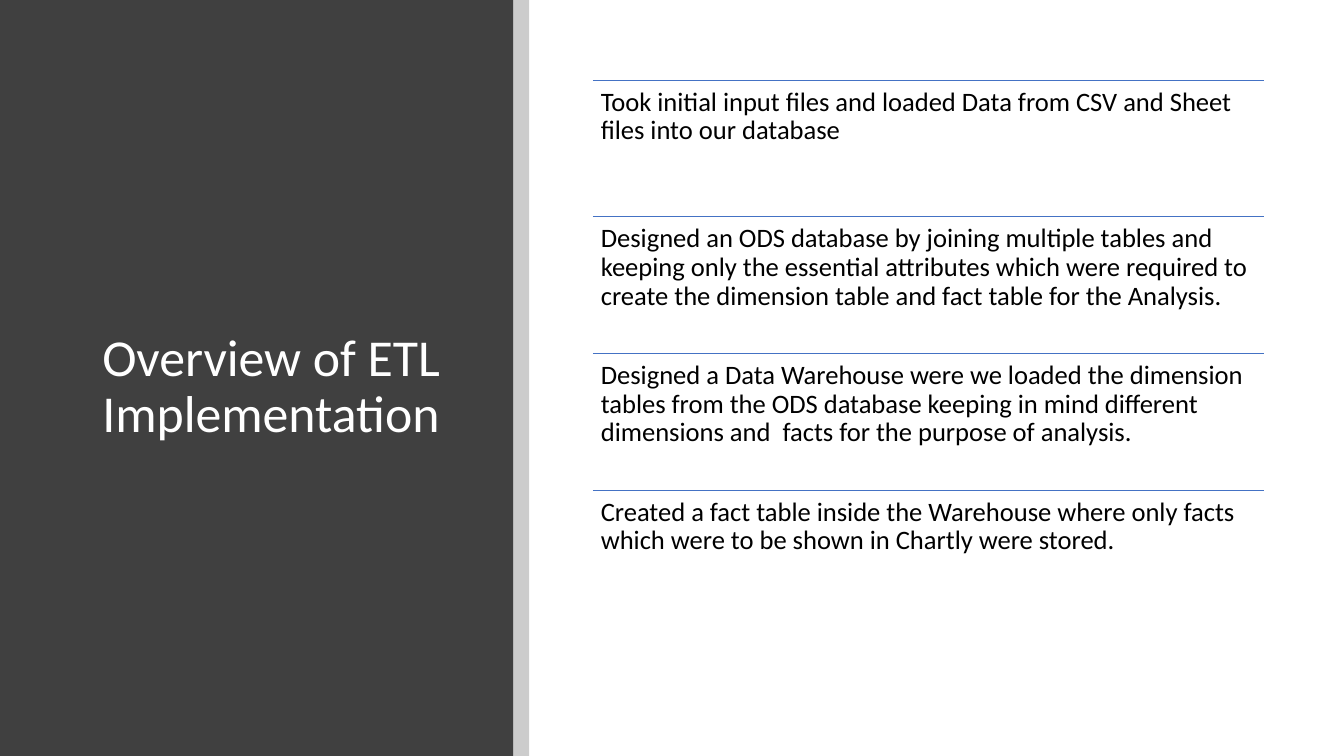
"""Build the ETL implementation overview slide."""
from dataclasses import dataclass

from lxml import etree
from pptx import Presentation
from pptx.dml.color import RGBColor
from pptx.enum.shapes import MSO_CONNECTOR, MSO_SHAPE
from pptx.enum.text import MSO_ANCHOR
from pptx.oxml.ns import qn
from pptx.util import Pt

RECTANGLE = MSO_SHAPE.RECTANGLE
STRAIGHT = MSO_CONNECTOR.STRAIGHT
TOP = MSO_ANCHOR.TOP
MIDDLE = MSO_ANCHOR.MIDDLE

SLIDE_WIDTH, SLIDE_HEIGHT = 960, 540
PANEL_WIDTH, STRIPE_WIDTH = 366.5, 11.5
STEP_LEFT, STEP_TOP, STEP_WIDTH, STEP_HEIGHT = 423.5, 57.3, 479.5, 97.6

STEPS = (
    "Took initial input files and loaded Data from CSV and Sheet files into our database",
    "Designed an ODS database by joining multiple tables and keeping only the essential "
    "attributes which were required to create the dimension table and fact table for the Analysis.",
    "Designed a Data Warehouse were we loaded the dimension tables from the ODS database "
    "keeping in mind different dimensions and  facts for the purpose of analysis.",
    "Created a fact table inside the Warehouse where only facts which were to be shown in "
    "Chartly were stored.",
)


@dataclass(frozen=True)
class Theme:
    """Hold the colours, font and type sizes."""
    panel: RGBColor = RGBColor(0x40, 0x40, 0x40)
    black: RGBColor = RGBColor(0, 0, 0)
    white: RGBColor = RGBColor(0xFF, 0xFF, 0xFF)
    rule: RGBColor = RGBColor(0x44, 0x72, 0xC4)
    font: str = "Calibri"
    title_size: float = 37
    step_size: float = 19
    rule_width: float = 0.5
    line_spacing: float = 0.9


class SlideBuilder:
    """Draw styled elements on the current slide."""

    def __init__(self, slide, theme):
        """Keep the slide and its theme."""
        self.slide = slide
        self.theme = theme

    def band(self, left, width, color, opacity=100):
        """Add a full-height band with the given opacity in percent."""
        shape = self.slide.shapes.add_shape(
            RECTANGLE, Pt(left), Pt(0), Pt(width), Pt(SLIDE_HEIGHT))
        shape.shadow.inherit = False
        shape.line.fill.background()
        shape.fill.solid()
        shape.fill.fore_color.rgb = color
        if opacity < 100:
            color_element = shape.fill._xPr.find(qn("a:solidFill"))[0]
            etree.SubElement(color_element, qn("a:alpha"), val=str(opacity * 1000))

    def rule(self, left, top, width):
        """Add a thin horizontal rule."""
        connector = self.slide.shapes.add_connector(
            STRAIGHT, Pt(left), Pt(top), Pt(left + width), Pt(top))
        connector.line.color.rgb = self.theme.rule
        connector.line.width = Pt(self.theme.rule_width)
        etree.SubElement(connector._element.spPr, qn("a:effectLst"))

    def text(self, words, box, size, color, anchor, margins):
        """Add a wrapped text box with horizontal and vertical margins."""
        shape = self.slide.shapes.add_textbox(*map(Pt, box))
        frame = shape.text_frame
        frame.word_wrap = True
        frame.vertical_anchor = anchor
        frame.margin_left = frame.margin_right = Pt(margins[0])
        frame.margin_top = frame.margin_bottom = Pt(margins[1])
        paragraph = frame.paragraphs[0]
        paragraph.line_spacing = self.theme.line_spacing
        run = paragraph.add_run()
        run.text = words
        run.font.name = self.theme.font
        run.font.size = Pt(size)
        run.font.color.rgb = color

    def step(self, words, top):
        """Add one ruled step of the process."""
        self.rule(STEP_LEFT, top, STEP_WIDTH)
        self.text(words, (STEP_LEFT, top, STEP_WIDTH, STEP_HEIGHT),
                  self.theme.step_size, self.theme.black, TOP, (5.7, 5.7))


def main():
    """Build and save the presentation."""
    presentation = Presentation()
    presentation.slide_width = Pt(SLIDE_WIDTH)
    presentation.slide_height = Pt(SLIDE_HEIGHT)
    theme = Theme()
    builder = SlideBuilder(
        presentation.slides.add_slide(presentation.slide_layouts[6]), theme)
    builder.band(0, PANEL_WIDTH, theme.panel)
    builder.band(PANEL_WIDTH, STRIPE_WIDTH, theme.black, opacity=20)
    builder.text("Overview of ETL Implementation", (66, 64, 263, 425.5),
                 theme.title_size, theme.white, MIDDLE, (7.2, 3.6))
    for index, words in enumerate(STEPS):
        builder.step(words, STEP_TOP + index * STEP_HEIGHT)
    presentation.save("out.pptx")


if __name__ == "__main__":
    main()
